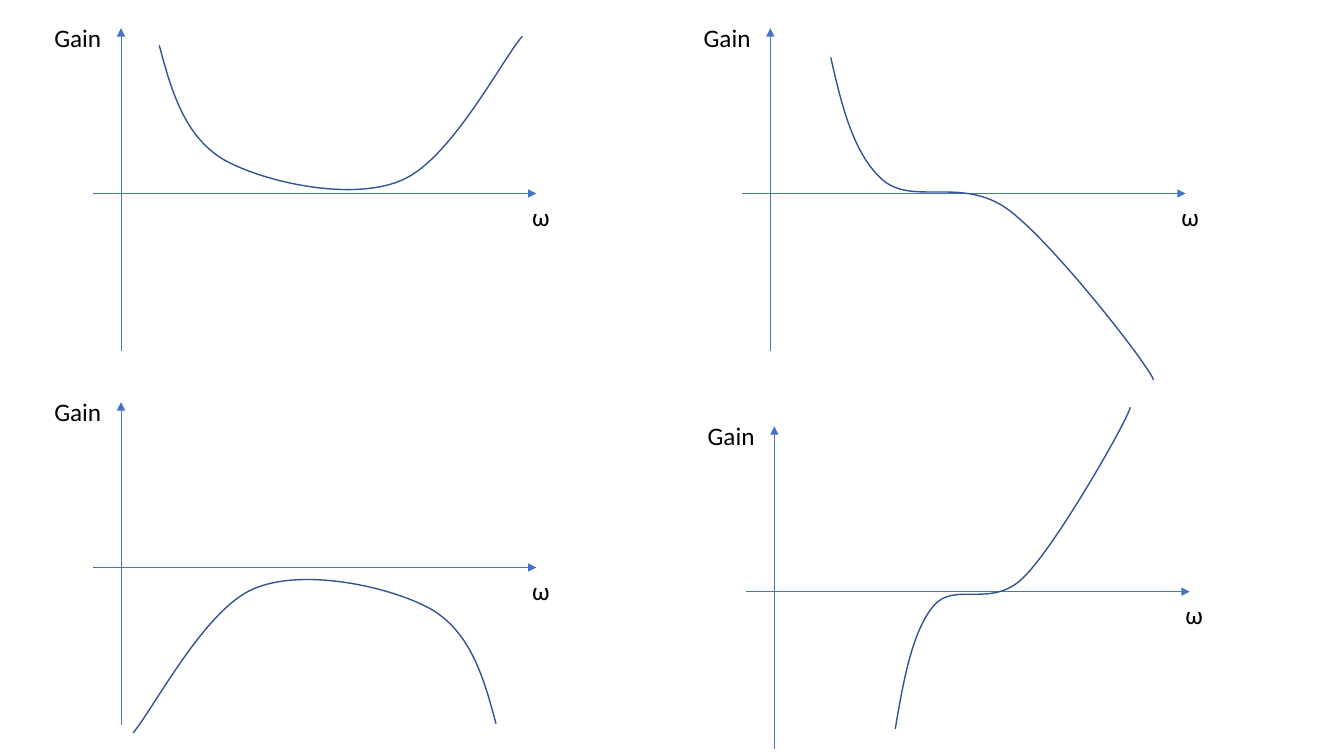
from dataclasses import dataclass

from lxml.etree import SubElement
from pptx import Presentation
from pptx.dml.color import RGBColor
from pptx.enum.shapes import MSO_CONNECTOR
from pptx.enum.text import MSO_AUTO_SIZE
from pptx.oxml.ns import qn
from pptx.shapes.shapetree import SlideShapes
from pptx.util import Inches, Pt

AXIS = RGBColor(0x44, 0x72, 0xC4)
CURVE = RGBColor(0x32, 0x54, 0x91)
BLACK = RGBColor(0, 0, 0)

Point = tuple[float, float]


@dataclass
class Curve:
    """Bezier points, and the upper left and lower right corners around them."""
    points: list[Point]
    start: Point
    end: Point


@dataclass
class Plot:
    """Origin of the axes, and the gain curve."""
    x: float
    y: float
    curve: Curve


VALLEY = Curve(
    [(1.58, 0.45), (1.7, 0.9), (1.83, 1.36), (2.23, 1.59), (2.63, 1.81),
     (3.49, 2), (3.98, 1.79), (4.47, 1.59), (4.98, 0.59), (5.18, 0.36)],
    (1.58, 0.36), (5.18, 1.88))
HILL = Curve([(6.5 - x, 7.63 - y) for x, y in VALLEY.points],
             (1.32, 5.75), (4.92, 7.27))
FALL = Curve(
    [(8.24, 0.57), (8.35, 1.06), (8.47, 1.54), (8.76, 1.79), (9.06, 2.04),
     (9.55, 1.75), (10, 2.08), (10.45, 2.41), (11.42, 3.66), (11.44, 3.77)],
    (8.24, 0.57), (11.44, 3.77))
RISE = Curve(
    [(8.88, 7.23), (8.96, 6.75), (9.05, 6.26), (9.26, 6.01), (9.47, 5.76),
     (9.84, 6.05), (10.16, 5.72), (10.49, 5.39), (11.2, 4.14), (11.21, 4.04)],
    (8.88, 4.04), (11.21, 7.23))

PLOTS = [Plot(1.2, 1.92, VALLEY), Plot(7.64, 1.92, FALL),
         Plot(1.2, 5.63, HILL), Plot(7.68, 5.87, RISE)]


def add_text(shapes: SlideShapes, text: str, x: float, y: float, *, width: float,
             height: float = 0.4, size: float = 18, font: str = "Calibri",
             color: RGBColor = BLACK) -> None:
    box = shapes.add_textbox(Inches(x), Inches(y), Inches(width), Inches(height))
    frame = box.text_frame
    frame.word_wrap = False
    frame.auto_size = MSO_AUTO_SIZE.SHAPE_TO_FIT_TEXT
    run = frame.paragraphs[0].add_run()
    run.text = text
    run.font.name = font
    run.font.size = Pt(size)
    run.font.color.rgb = color


def add_arrow(shapes: SlideShapes, start: Point, end: Point) -> None:
    ends = [Inches(n) for n in (*start, *end)]
    arrow = shapes.add_connector(MSO_CONNECTOR.STRAIGHT, *ends)
    arrow.line.color.rgb = AXIS
    arrow.line.width = Pt(0.5)
    props = arrow.line._get_or_add_ln()
    SubElement(props, qn("a:tailEnd"), type="triangle")
    SubElement(arrow._element.spPr, qn("a:effectLst"))


def add_curve(shapes: SlideShapes, curve: Curve) -> None:
    """Span the corners with a freeform, then give it the Bezier outline."""
    left, top = (Inches(n) for n in curve.start)
    right, low = (Inches(n) for n in curve.end)
    outline = shapes.build_freeform(left, top)
    outline.add_line_segments([(right, low)], close=False)
    shape = outline.convert_to_shape()
    route = shape._element.find(".//" + qn("a:path"))
    for part in list(route):
        route.remove(part)
    points = curve.points
    parts = [("a:moveTo", points[:1])]
    parts += [("a:cubicBezTo", points[i:i + 3]) for i in range(1, len(points), 3)]
    for tag, group in parts:
        part = SubElement(route, qn(tag))
        for x, y in group:
            SubElement(part, qn("a:pt"), x=str(Inches(x) - left),
                       y=str(Inches(y) - top))
    shape.fill.background()
    shape.line.color.rgb = CURVE
    shape.line.width = Pt(1)
    shape.shadow.inherit = False


def add_plot(shapes: SlideShapes, plot: Plot) -> None:
    x, y = plot.x, plot.y
    add_arrow(shapes, (x, y + 1.56), (x, y - 1.64))
    add_arrow(shapes, (x - 0.28, y), (x + 4.12, y))
    add_curve(shapes, plot.curve)
    add_text(shapes, "ω", x + 3.98, y + 0.03, width=0.47)
    add_text(shapes, "Gain", x - 0.76, y - 1.75, width=0.76)


def main() -> None:
    deck = Presentation()
    deck.slide_width = Inches(13.33)
    deck.slide_height = Inches(7.5)
    slide = deck.slides.add_slide(deck.slide_layouts[6])
    for plot in PLOTS:
        add_plot(slide.shapes, plot)
    deck.save("out.pptx")


if __name__ == "__main__":
    main()
